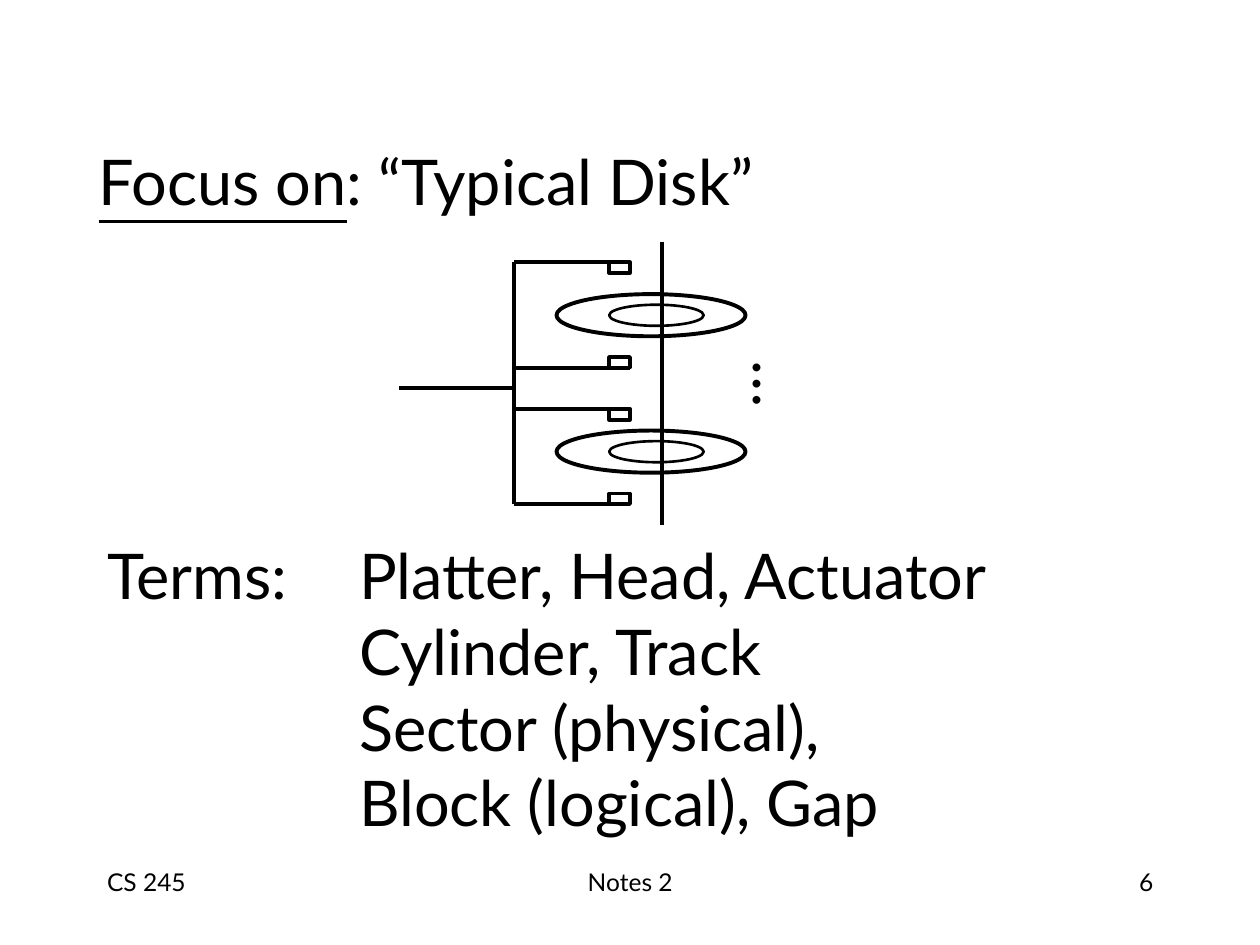
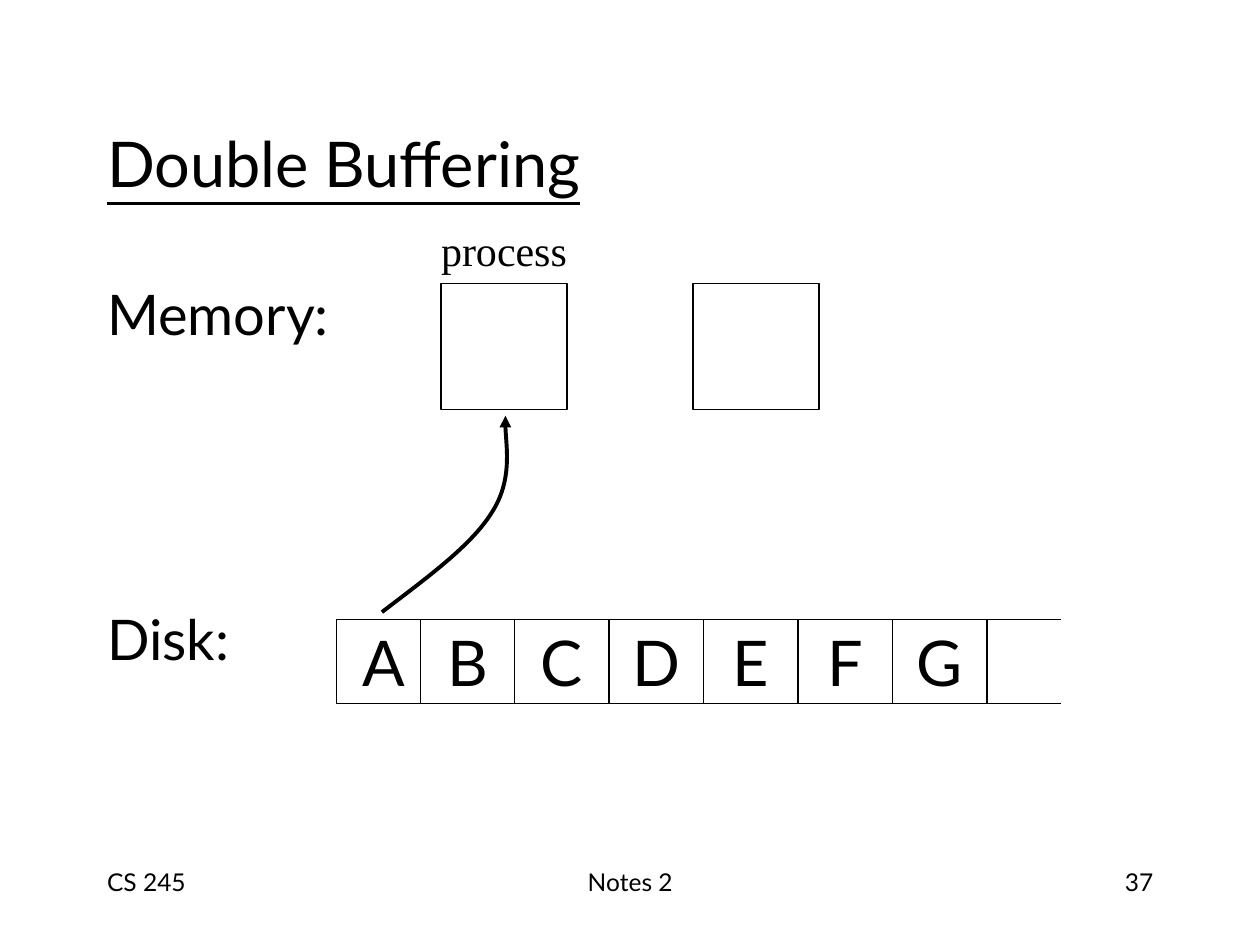
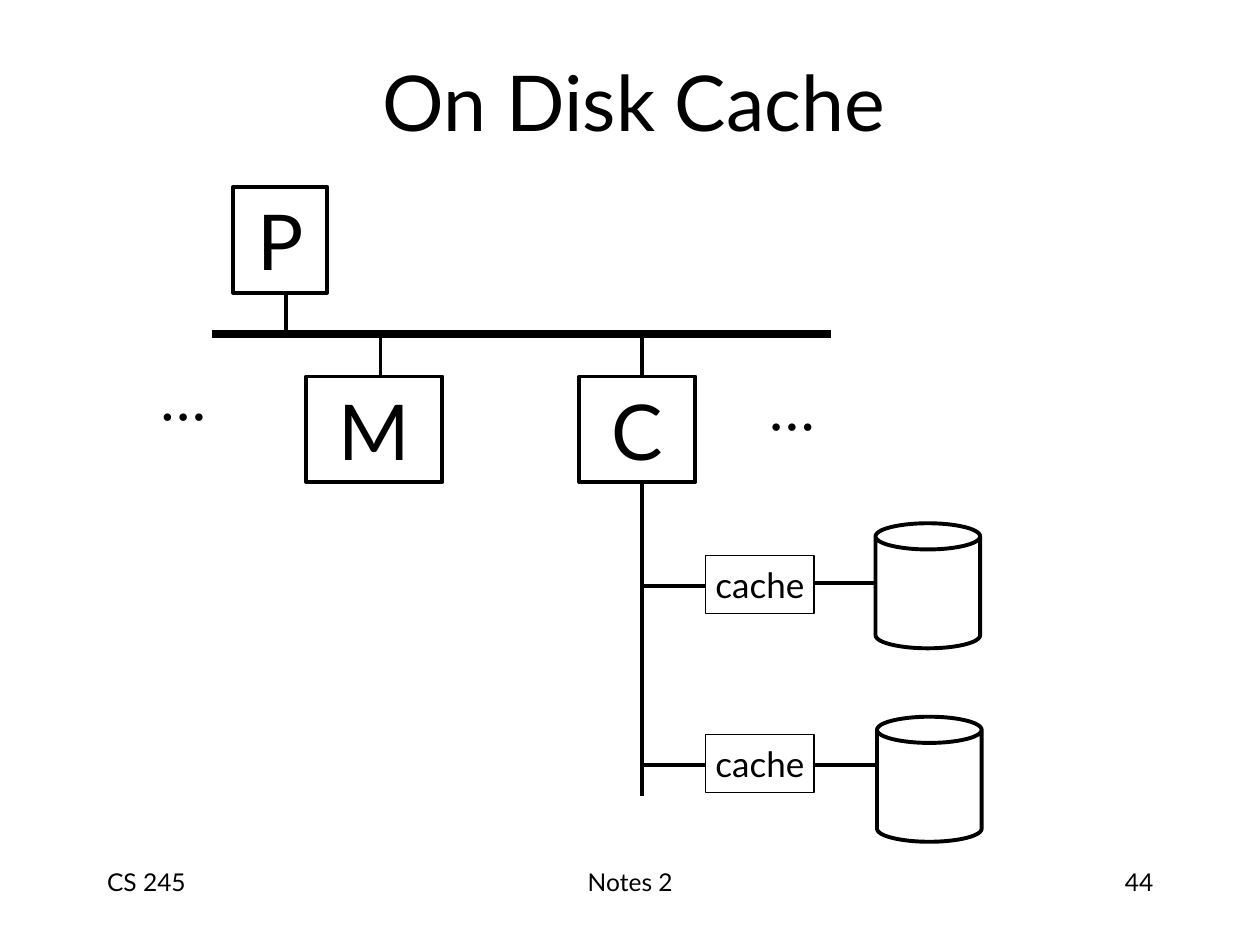
from lxml.etree import SubElement
from pptx import Presentation
from pptx.dml.color import RGBColor
from pptx.enum.shapes import MSO_CONNECTOR, MSO_SHAPE
from pptx.enum.text import MSO_ANCHOR, PP_ALIGN
from pptx.oxml.ns import qn
from pptx.util import Cm, Pt

BLACK = RGBColor(0x00, 0x00, 0x00)
WHITE = RGBColor(0xFF, 0xFF, 0xFF)
SANS, SERIF = "Lato", "Times New Roman"
LEFT, CENTER, RIGHT = PP_ALIGN.LEFT, PP_ALIGN.CENTER, PP_ALIGN.RIGHT
RECT, OVAL, CAN = MSO_SHAPE.RECTANGLE, MSO_SHAPE.OVAL, MSO_SHAPE.CAN
HAIRLINE, THIN, THICK, BUS = 0.75, 1.5, 2.25, 4.5
FOOTER_SIZE, LABEL_SIZE, BODY_SIZE, HEADING_SIZE, TITLE_SIZE = 14, 20, 32, 36, 44
MARGIN = 1.91
CONTENT_W = 21.59


def add_box(s, x, y, w, h, text="", size=HEADING_SIZE, align=LEFT, font=SANS,
            preset=None, weight=THICK):
    box = Cm(x), Cm(y), Cm(w), Cm(h)
    if preset is None:
        sp = s.shapes.add_textbox(*box)
        tf = sp.text_frame
    else:
        sp = s.shapes.add_shape(preset, *box)
        sp.shadow.inherit = False
        sp.fill.solid()
        sp.fill.fore_color.rgb = WHITE
        sp.line.color.rgb = BLACK
        sp.line.width = Pt(weight)
        tf = sp.text_frame
        tf.vertical_anchor = MSO_ANCHOR.MIDDLE
        tf.margin_left = tf.margin_right = tf.margin_top = tf.margin_bottom = 0
    tf.word_wrap = True
    tf.text = text
    for p in tf.paragraphs:
        p.alignment = align
        for r in p.runs:
            r.font.name = font
            r.font.size = Pt(size)
            r.font.color.rgb = BLACK
    return sp


def add_line(s, x1, y1, x2, y2, weight=THICK):
    cn = s.shapes.add_connector(MSO_CONNECTOR.STRAIGHT, Cm(x1), Cm(y1), Cm(x2), Cm(y2))
    cn.line.color.rgb = BLACK
    cn.line.width = Pt(weight)
    SubElement(cn._element.spPr, qn("a:effectLst"))


prs = Presentation()
prs.slide_width, prs.slide_height = Cm(25.4), Cm(19.05)

slides = []
for number in ("6", "37", "44"):
    s = prs.slides.add_slide(prs.slide_layouts[6])
    footers = (
        (MARGIN, 5.29, "CS 245", LEFT),
        (8.68, 8.05, "Notes 2", CENTER),
        (18.21, 5.29, number, RIGHT),
    )
    for x, w, text, align in footers:
        add_box(s, x, 17.36, w, 1.27, text, FOOTER_SIZE, align)
    slides.append(s)
disk_slide, buffering_slide, cache_slide = slides

s = disk_slide
sp = add_box(s, 1.74, 2.75, 14.38, 1.78, "Focus on")
p = sp.text_frame.paragraphs[0]
p.runs[0].font.underline = True
r = p.add_run()
r.text = ": “Typical Disk”"
r.font.name = SANS
r.font.size = Pt(HEADING_SIZE)
r.font.color.rgb = BLACK

terms = (
    "Terms:\tPlatter, Head, Actuator",
    "\tCylinder, Track",
    "\tSector (physical),",
    "\tBlock (logical), Gap",
)
sp = add_box(s, MARGIN, 10.7, 19.18, 6.35, "\n".join(terms))
for p in sp.text_frame.paragraphs:
    tabs = SubElement(p._p.get_or_add_pPr(), qn("a:tabLst"))
    SubElement(tabs, qn("a:tab"), pos=str(Cm(5.08)), algn="l")

actuator_x, arm_end, spindle_x = 10.37, 12.7, 13.34
head_w, head_h = 0.42, 0.21
platter_w, platter_h = 3.81, 0.85
track_w, track_h = platter_w / 2, platter_h / 2

add_line(s, 8.05, 7.83, actuator_x, 7.83)
add_line(s, actuator_x, 5.29, actuator_x, 10.16)
for platter_y, arm_above, arm_below in ((5.93, 5.29, 7.41), (8.68, 8.25, 10.16)):
    for arm_y, head_y in ((arm_above, arm_above), (arm_below, arm_below - head_h)):
        add_line(s, actuator_x, arm_y, arm_end, arm_y)
        add_box(s, arm_end - head_w, head_y, head_w, head_h, preset=RECT)
    add_box(s, 11.22, platter_y, platter_w, platter_h, preset=OVAL)
    add_box(s, 12.28, platter_y + (platter_h - track_h) / 2, track_w, track_h,
            preset=OVAL, weight=THIN)
add_line(s, spindle_x, 4.87, spindle_x, 10.58)
sp = add_box(s, 14.7, 6.85, 2, 1.78, "…", align=CENTER)
sp.rotation = 90

s = buffering_slide
sp = add_box(s, MARGIN, 1.69, CONTENT_W, 3.18, "Double Buffering")
sp.text_frame.vertical_anchor = MSO_ANCHOR.MIDDLE
sp.text_frame.paragraphs[0].runs[0].font.underline = True
for text, y in (("Memory:", 5.51), ("Disk:", 12.06)):
    add_box(s, MARGIN, y, 6, 1.6, text, BODY_SIZE)

buffer_side = 2.54
add_box(s, 8.36, 4.4, 3.6, 1.27, "process", 24, CENTER, SERIF)
for i in range(2):
    add_box(s, 8.89 + 2 * buffer_side * i, 5.72, buffer_side, buffer_side,
            preset=RECT, weight=HAIRLINE)

first_x, second_x, row_end = 6.78, 8.47, 19.9
row_y, row_h = 12.49, 1.69
block_w = (row_end - second_x) / 6
block_xs = [first_x] + [second_x + block_w * i for i in range(6)]
for x, name in zip(block_xs, "ABCDEFG"):
    add_box(s, x, row_y, block_w, row_h, name, align=CENTER, preset=RECT, weight=HAIRLINE)
for y in (row_y, row_y + row_h):
    add_line(s, row_end, y, 21.38, y, HAIRLINE)

arrow_start = (7.7, 12.34)
arrow_curves = (
    ((8.59, 11.66), (9.5, 11), (9.91, 10.34)),
    ((10.34, 9.68), (10.16, 8.69), (10.19, 8.38)),
)
builder = s.shapes.build_freeform(Cm(arrow_start[0]), Cm(arrow_start[1]))
for curve in arrow_curves:
    builder.add_line_segments([(Cm(x), Cm(y)) for x, y in curve], close=False)
sp = builder.convert_to_shape()
sp.shadow.inherit = False
sp.fill.background()
sp.line.color.rgb = BLACK
sp.line.width = Pt(THICK)
SubElement(sp._element.spPr.find(qn("a:ln")), qn("a:tailEnd"), type="triangle")
outline = next(sp._element.iter(qn("a:path")))
segments = outline.findall(qn("a:lnTo"))
for i in range(0, len(segments), 3):
    bezier = SubElement(outline, qn("a:cubicBezTo"))
    for segment in segments[i:i + 3]:
        bezier.append(segment[0])
        outline.remove(segment)

s = cache_slide
sp = add_box(s, 1.99, 0.97, CONTENT_W, 2.13, "On Disk Cache", TITLE_SIZE, CENTER)
sp.text_frame.vertical_anchor = MSO_ANCHOR.MIDDLE

bus_y, unit_h = 6.74, 2.13
processor_y, unit_y = 3.77, 7.59
controller_x = 12.95
units = (("P", 4.7, processor_y, 1.9), ("M", 6.17, unit_y, 2.75), ("C", 11.68, unit_y, 2.34))
for name, x, y, w in units:
    add_box(s, x, y, w, unit_h, name, TITLE_SIZE, CENTER, preset=RECT)
for x, y in ((2.97, 7.09), (15.24, 7.29)):
    add_box(s, x, y, 2, 1.78, "...", font=SERIF)

add_line(s, 4.27, bus_y, 16.76, bus_y, BUS)
add_line(s, 5.77, processor_y + unit_h, 5.77, bus_y)
for x in (7.67, controller_x):
    add_line(s, x, bus_y, x, unit_y)
add_line(s, controller_x, unit_y + unit_h, controller_x, 16.05)

cache_x, cache_w, cache_h = 14.23, 2.18, 1.17
disk_w, disk_h = 2.11, 2.52
drives = ((11.2, 17.65, 10.55, 11.81, 11.76), (14.81, 17.68, 14.45, 15.42, 15.42))
for cache_y, disk_x, disk_y, controller_link_y, disk_link_y in drives:
    add_box(s, cache_x, cache_y, cache_w, cache_h, "cache", LABEL_SIZE, CENTER,
            preset=RECT, weight=HAIRLINE)
    add_box(s, disk_x, disk_y, disk_w, disk_h, preset=CAN)
    add_line(s, controller_x, controller_link_y, cache_x, controller_link_y)
    add_line(s, cache_x + cache_w, disk_link_y, disk_x, disk_link_y)

prs.save("out.pptx")
